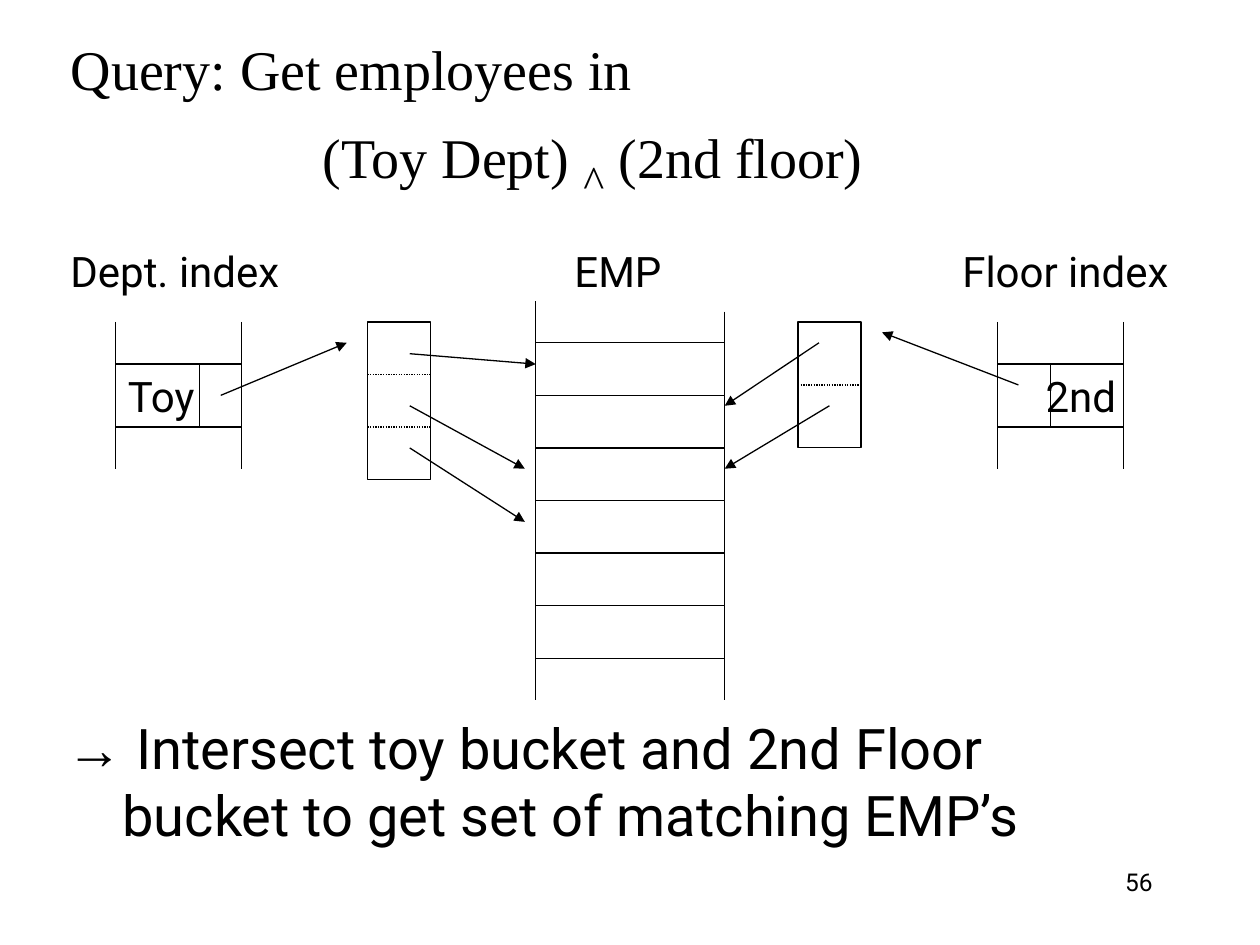
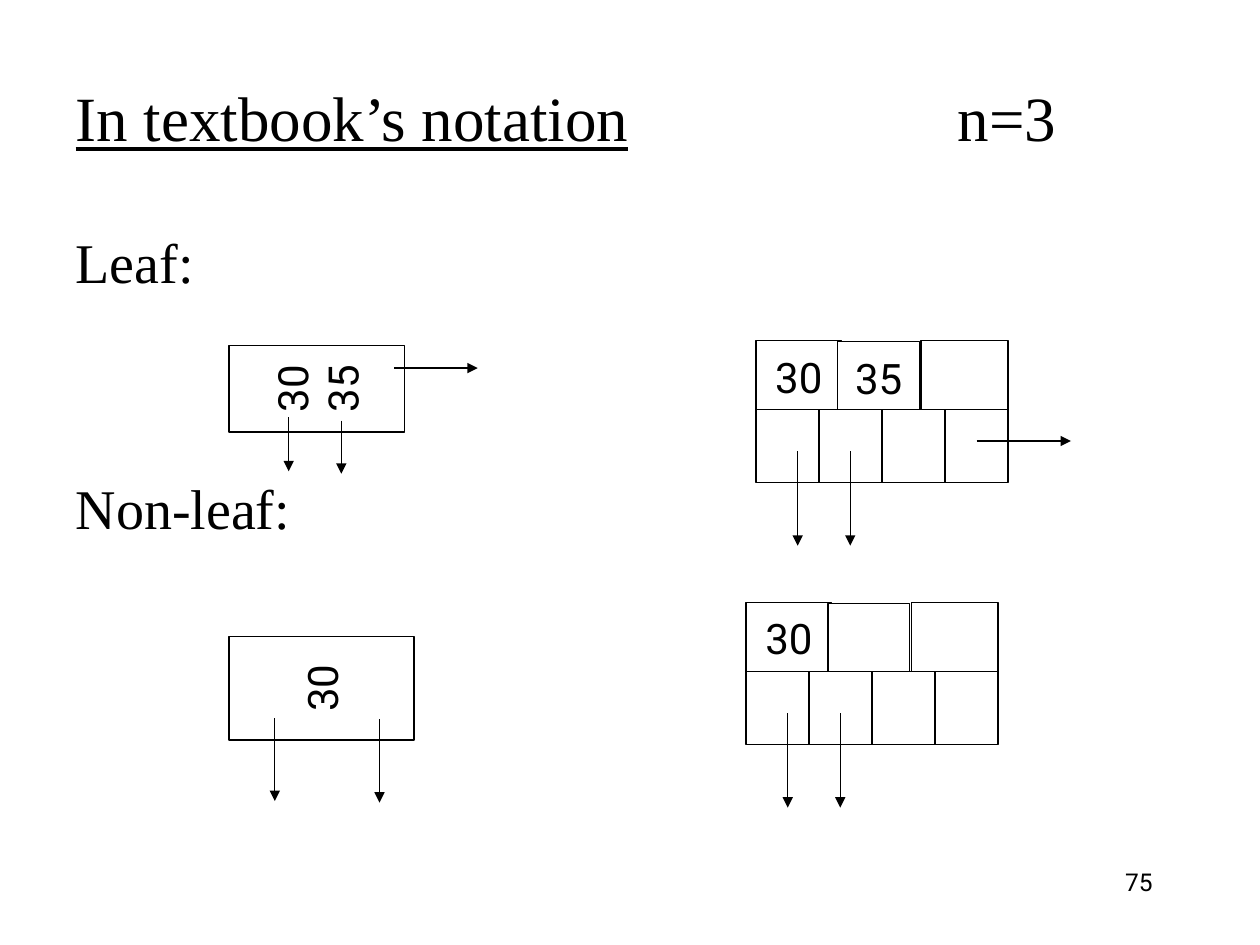
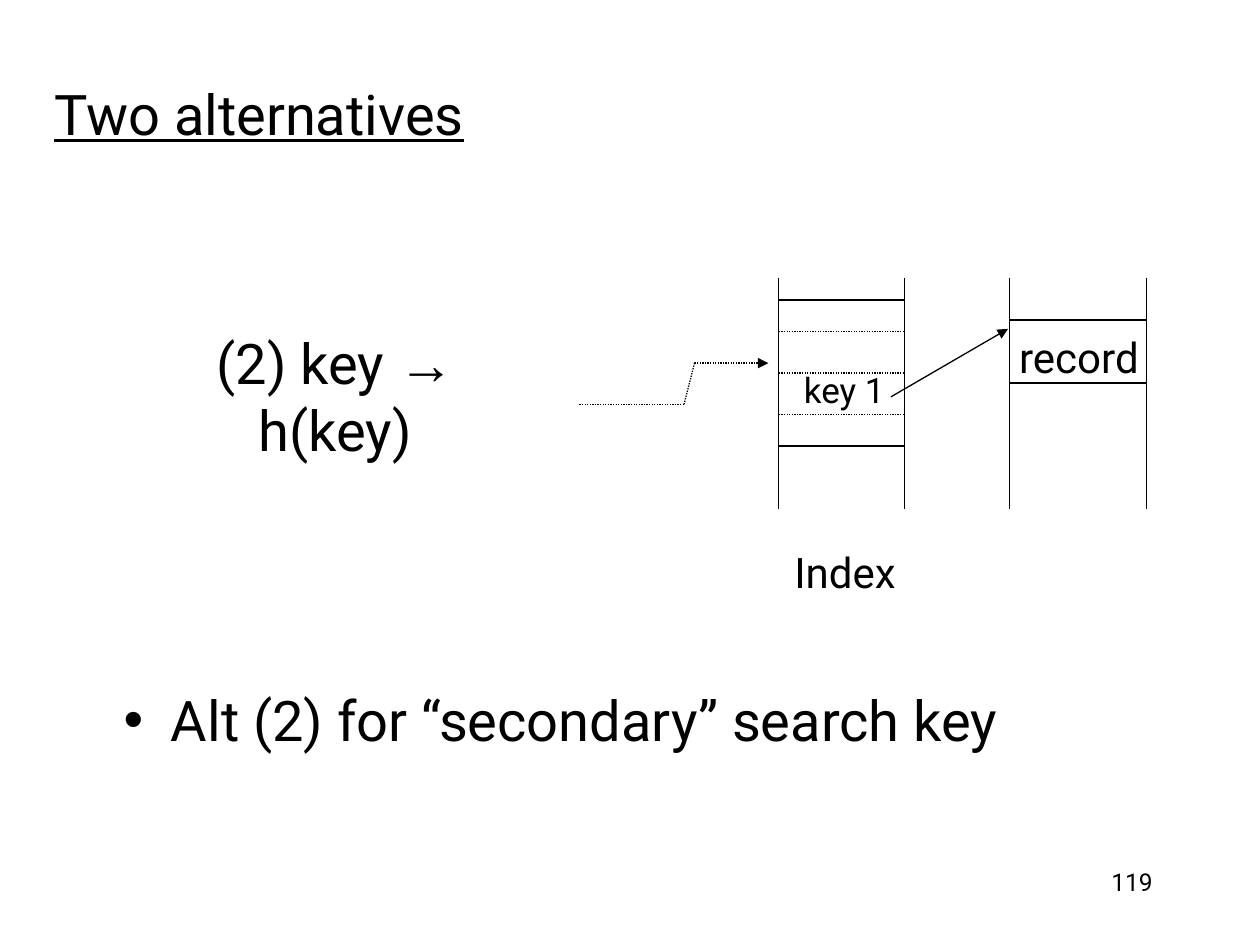
from lxml import etree
from pptx import Presentation
from pptx import util as u
from pptx.dml.color import RGBColor
from pptx.enum import dml, shapes, text
from pptx.oxml.ns import qn

BLACK = RGBColor(0, 0, 0)
WHITE = RGBColor(255, 255, 255)
SANS, SERIF, ARIAL = "Roboto", "Times New Roman", "Arial"
LEFT, MID, RIGHT = text.PP_ALIGN.LEFT, text.PP_ALIGN.CENTER, text.PP_ALIGN.RIGHT
TOP, CENTER = text.MSO_ANCHOR.TOP, text.MSO_ANCHOR.MIDDLE
PLAIN, LIST = 5, 1


def cm(*nums):
    return [u.Cm(num) for num in nums]


def add_prop(para, tag):
    prop = etree.Element(qn(tag))
    para._p.get_or_add_pPr().find(qn("a:defRPr")).addprevious(prop)
    return prop


def set_tabs(para, *stops):
    tabs = add_prop(para, "a:tabLst")
    for stop in stops:
        etree.SubElement(tabs, qn("a:tab"), pos=str(u.Cm(stop)), algn="l")


def indent(para, left, first=0):
    props = para._p.get_or_add_pPr()
    props.set("marL", str(u.Cm(left)))
    props.set("indent", str(u.Cm(first)))


class Deck:
    def __init__(self):
        self.prs = Presentation()
        self.prs.slide_width, self.prs.slide_height = cm(25.4, 19.05)
        self.slide = None

    def page(self, layout, number):
        self.slide = self.prs.slides.add_slide(self.prs.slide_layouts[layout])
        self.note((18.21, 17.35, 5.28, 1.27), [[number]], 14, align=RIGHT, anchor=TOP)

    def fill_text(self, frame, paras, size, face=SANS, align=LEFT, anchor=CENTER):
        frame.word_wrap = True
        frame.auto_size = text.MSO_AUTO_SIZE.NONE
        frame.vertical_anchor = anchor
        for i, runs in enumerate(paras):
            para = frame.add_paragraph() if i else frame.paragraphs[0]
            para.alignment = align
            para.font.name, para.font.size = face, u.Pt(size)
            para.font.color.rgb = BLACK
            for words in runs:
                if words == "\n":
                    para.add_line_break()
                else:
                    para.add_run().text = words
        return frame.paragraphs

    def note(self, area, paras, size, **style):
        frame = self.slide.shapes.add_textbox(*cm(*area)).text_frame
        return self.fill_text(frame, paras, size, **style)

    def holder(self, index, area, paras, size, **style):
        shape = self.slide.placeholders[index]
        shape.left, shape.top, shape.width, shape.height = cm(*area)
        return self.fill_text(shape.text_frame, paras, size, **style)

    def title(self, area, paras, size, **style):
        return self.holder(0, area, paras, size, **style)

    def body(self, area, paras, size, **style):
        lines = self.holder(1, area, paras, size, anchor=TOP, **style)
        for para in lines:
            para.space_before = u.Pt(8)
        return lines

    def box(self, x, y, wide, high, *words, align=MID, turn=0):
        shape = self.slide.shapes.add_shape(shapes.MSO_SHAPE.RECTANGLE, *cm(x, y, wide, high))
        shape.shadow.inherit = False
        shape.fill.solid()
        shape.fill.fore_color.rgb = WHITE
        shape.line.color.rgb = BLACK
        shape.line.width = u.Pt(0.75)
        shape.rotation = turn
        if words:
            self.fill_text(shape.text_frame, [[word] for word in words], 24, align=align)
        return shape

    def line(self, x1, y1, x2, y2, dots=False, arrow=False):
        link = self.slide.shapes.add_connector(shapes.MSO_CONNECTOR.STRAIGHT, *cm(x1, y1, x2, y2))
        link.line.color.rgb = BLACK
        link.line.width = u.Pt(0.75)
        if dots:
            link.line.dash_style = dml.MSO_LINE.ROUND_DOT
        props = link._element.spPr
        if arrow:
            etree.SubElement(props.find(qn("a:ln")), qn("a:tailEnd"), type="triangle")
        etree.SubElement(props, qn("a:effectLst"))
        return link

    def arrow(self, x1, y1, x2, y2, dots=False):
        return self.line(x1, y1, x2, y2, dots, True)

    def index(self, x, split, word, align):
        cell = self.box(x, 7.34, 2.54, 1.27, word, align=align)
        cell.text_frame.margin_right = u.Cm(0.15)
        for side in (x, x + 2.54):
            for y in (6.49, 8.61):
                self.line(side, y, side, y + 0.85)
        self.line(split, 7.34, split, 8.61)

    def node(self, x, y, *keys):
        cells = [(0, 0, 1.73), (1.65, 0.03, 1.65), (3.33, 0, 1.75)]
        for i, (dx, dy, wide) in enumerate(cells):
            self.box(x + dx, y + dy, wide, 1.45, *keys[i:i + 1])
        for i in range(4):
            self.box(x + i * 1.27, y + 1.4, 1.27, 1.47)
        for dx in (0.84, 1.9):
            self.arrow(x + dx, y + 2.24, x + dx, y + 4.14)


def query(deck):
    deck.page(PLAIN, "56")
    lines = deck.title((1.17, 0.84, 21.59, 3.18),
                       [["Query: Get employees in"], ["(Toy Dept) ", "^", " (2nd floor)"]],
                       32, face=SERIF)
    indent(lines[1], 5.08)
    caret = lines[1].runs[1]
    caret.font.size = u.Pt(44)
    caret.font._element.set("baseline", "-25000")

    heads = deck.note((1.17, 4.83, 22.94, 1.27), [["Dept. index\tEMP\tFloor index"]], 24)
    set_tabs(heads[0], 10.16, 17.98)

    for i in range(6):
        deck.box(10.8, 6.91 + i * 1.06, 3.81, 1.06)
    for x, y in [(10.8, 13.27), (14.61, 13.27), (10.8, 6.07), (14.61, 6.28)]:
        deck.line(x, y, x, y + 0.85)

    deck.box(7.41, 6.49, 1.27, 3.18)
    for y in (7.55, 8.61):
        deck.line(7.41, y, 8.68, y, dots=True)
    bucket = deck.box(16.09, 6.49, 1.27, 2.54)
    split = deck.line(16.09, 7.76, 17.36, 7.76, dots=True)
    split.begin_connect(bucket, 1)
    split.end_connect(bucket, 3)

    deck.index(2.33, 4.02, "Toy", LEFT)
    deck.index(20.11, 21.17, "2nd", RIGHT)
    for ends in [(16.51, 6.91, 14.61, 8.18), (16.72, 8.18, 14.61, 9.45),
                 (20.53, 7.76, 17.78, 6.7), (4.45, 7.97, 6.99, 6.91),
                 (8.26, 7.13, 10.8, 7.34), (8.26, 8.18, 10.58, 9.45),
                 (8.26, 9.03, 10.58, 10.52)]:
        deck.arrow(*ends)

    rule = deck.note((1.09, 14.15, 23.06, 3.18),
                     [["→", " Intersect toy bucket and 2nd Floor", "\n",
                       "bucket to get set of matching EMP’s"]], 32)
    indent(rule[0], 1.13, -1.13)
    rule[0].runs[0].font.name = ARIAL


def notation(deck):
    deck.page(LIST, "75")
    head = deck.title((1.27, 0.76, 22.86, 3.18),
                      [["In textbook’s notation", "\tn=3"]], 36, face=SERIF)[0]
    head.runs[0].font.underline = True
    set_tabs(head, 17.78)
    kinds = deck.body((1.27, 4.45, 22.86, 12.57), [["Leaf:"], ["Non-leaf:"]], 32, face=SERIF)
    for para in kinds:
        add_prop(para, "a:buNone")
    kinds[1].space_before = u.Pt(102.5)

    deck.box(5.51, 6.07, 1.75, 3.53, "30", "35", turn=270)
    deck.box(5.44, 12.01, 2.08, 3.73, "30", turn=270)
    deck.node(15.24, 6.86, "30", "35")
    deck.node(15.04, 12.14, "30")
    for x, y, end in [(5.82, 8.41, 9.5), (6.88, 8.48, 9.55),
                      (5.54, 14.48, 16.15), (7.65, 14.5, 16.18)]:
        deck.arrow(x, y, x, end)
    deck.arrow(7.95, 7.42, 9.63, 7.42)
    deck.arrow(19.69, 8.89, 21.59, 8.89)


def choice(deck):
    deck.page(LIST, "119")
    head = deck.title((0.84, 1.47, 21.59, 1.91), [["Two alternatives"]], 32, anchor=TOP)
    head[0].font.underline = True
    deck.body((2.24, 13.69, 21.59, 1.91), [["Alt (2) for “secondary” search key"]], 32)

    deck.line(11.68, 8.15, 13.79, 8.15, dots=True)
    deck.line(14, 7.32, 13.79, 8.15, dots=True)
    deck.arrow(14, 7.32, 15.49, 7.32, dots=True)
    for x in (15.7, 18.24, 20.35, 23.11):
        deck.line(x, 5.61, x, 10.26)
    for y in (6.45, 7.72):
        deck.line(20.35, y, 23.11, y)
    for y, dots in [(6.05, False), (6.68, True), (7.52, True), (8.36, True), (8.99, False)]:
        deck.line(15.7, y, 18.24, y, dots)
    deck.arrow(17.96, 8, 20.32, 6.63)

    key = deck.note((2.44, 6.45, 8.64, 3.05), [["(2) key ", "→", "\n", "h(key)"]], 32, align=MID)
    key[0].runs[1].font.name = ARIAL
    for area, word, size in [((15.65, 10.9, 2.77, 1.27), "Index", 24),
                             ((20.19, 6.55, 3.12, 1.27), "record", 24),
                             ((15.9, 7.29, 2.24, 1.12), "key 1", 20)]:
        deck.note(area, [[word]], size, align=MID)


def main():
    deck = Deck()
    query(deck)
    notation(deck)
    choice(deck)
    deck.prs.save("out.pptx")


if __name__ == "__main__":
    main()
